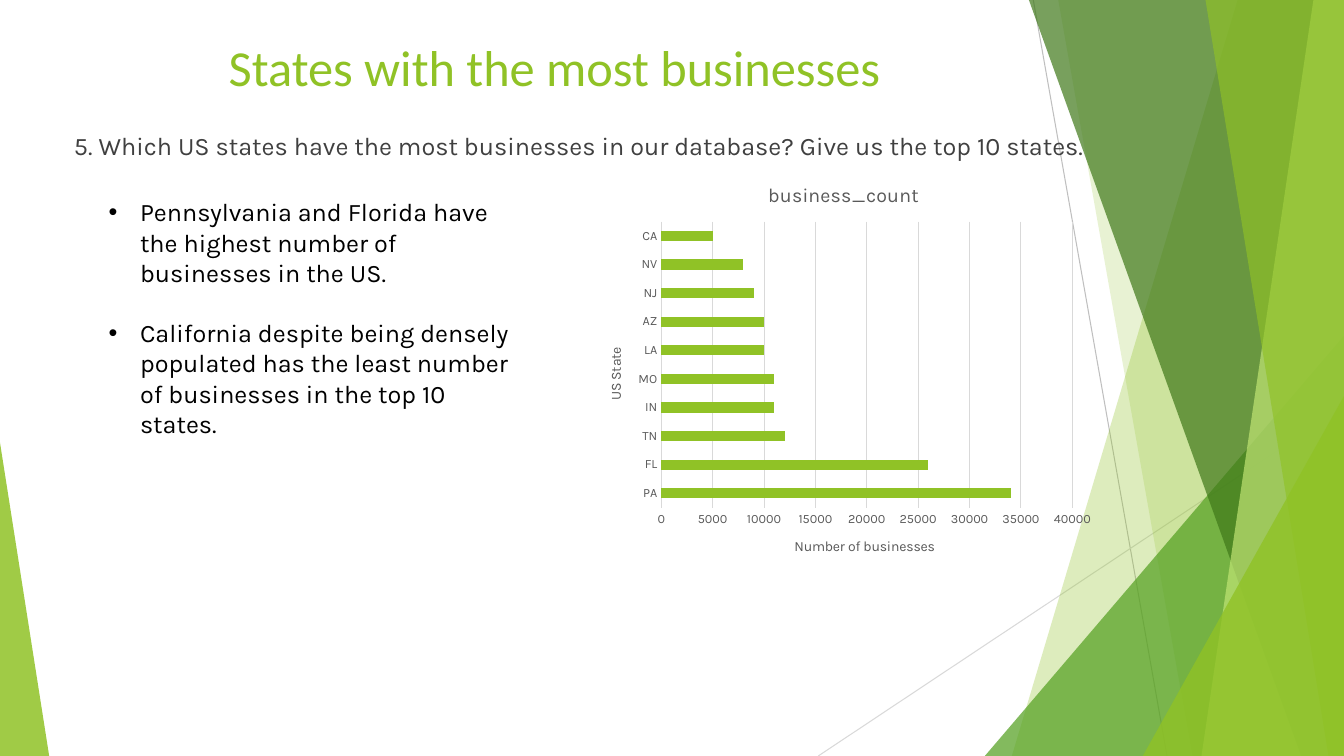
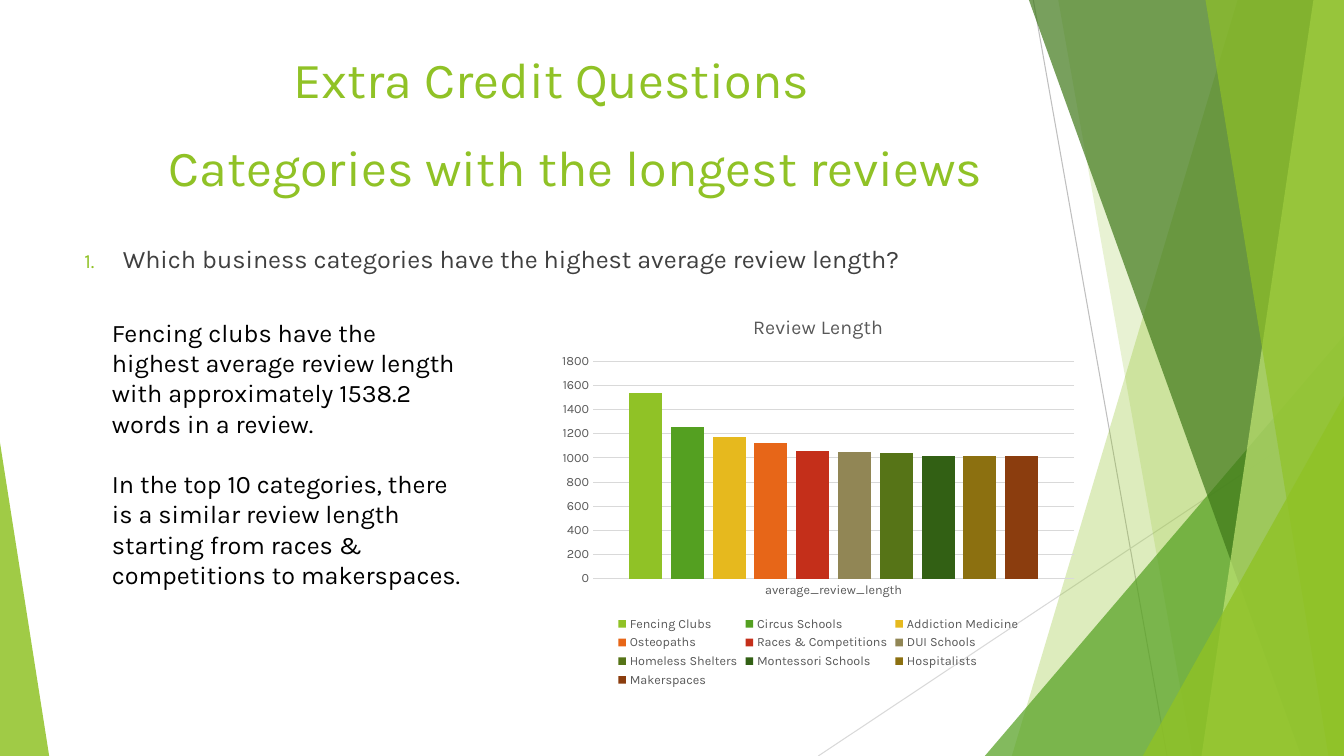
from lxml.etree import SubElement
from pptx import Presentation
from pptx.chart.data import CategoryChartData
from pptx.dml.color import RGBColor
from pptx.enum.chart import XL_CHART_TYPE as ChartType, XL_LEGEND_POSITION as LegendPosition, XL_TICK_MARK as TickMark
from pptx.enum.shapes import MSO_CONNECTOR as Connector, MSO_SHAPE as Preset
from pptx.enum.text import MSO_ANCHOR as Anchor, MSO_AUTO_SIZE as AutoSize, PP_ALIGN as Align
from pptx.oxml.ns import qn
from pptx.util import Cm, Pt

LIME = RGBColor(0x90, 0xC2, 0x26)
GREEN = RGBColor(0x54, 0xA0, 0x21)
FOREST = RGBColor(0x3F, 0x78, 0x19)
PALE_LIME = RGBColor(0xC0, 0xE4, 0x74)
BLACK = RGBColor(0, 0, 0)
BODY_GRAY = RGBColor(0x40, 0x40, 0x40)
CHART_GRAY = RGBColor(0x59, 0x59, 0x59)
LINE_GRAY = RGBColor(0xBF, 0xBF, 0xBF)
GRID_GRAY = RGBColor(0xD9, 0xD9, 0xD9)
FONT = "Karla"
WIDTH, HEIGHT = 33.87, 19.05

RAYS = [((26.04, 0), (29.41, HEIGHT), LINE_GRAY), ((WIDTH, 10.24), (20.62, HEIGHT), GRID_GRAY)]
FACETS = [
    ("band", 31.19, 25.5, LIME, 30),
    ("band", 26.67, 30.05, LIME, 20),
    ("triangle", (24.82, 8.46, 9.05), 1, GREEN, 72),
    ("band", 25.93, 32.79, FOREST, 70),
    ("band", 33.1, 30.28, PALE_LIME, 70),
    ("band", 30.38, 33.48, LIME, 65),
    ("triangle", (28.8, 9.98, 5.07), 1, LIME, 80),
    ("triangle", (0, 11.15, 1.24), 0, LIME, 85),
]

SLIDES = [
    {
        "title": ("States with the most businesses", (2.04, 0.74, 23.88, 1.88), "Calibri"),
        "question": (
            "5. Which US states have the most businesses in our database? Give us the top 10 states.",
            (1.61, 3.16, 26.14, 14.86), False),
        "findings": ([
            "Pennsylvania and Florida have the highest number of businesses in the US.",
            "California despite being densely populated has the least number of businesses in the top 10 states.",
        ], (2.49, 4.83, 10.9, 6.4), True),
        "chart": {
            "type": ChartType.BAR_CLUSTERED,
            "box": (14.77, 4.16, 12.98, 10.34),
            "title": "business_count",
            "categories": ["PA", "FL", "TN", "IN", "MO", "LA", "AZ", "NJ", "NV", "CA"],
            "series": [("business_count",
                        [34000, 26000, 12000, 11000, 11000, 10000, 10000, 9000, 8000, 5000], LIME)],
            "axis_titles": ("US State", "Number of businesses"),
            "scale": (40000, 5000), "gap": 182, "overlap": 0,
        },
    },
    {
        "title": ("Extra Credit Questions", (1.96, 1.02, 23.88, 1.9), FONT),
        "subtitle": ("Categories with the longest reviews", (2.57, 3.25, 23.88, 1.9), FONT),
        "question": ("Which business categories have the highest average review length?",
                     (1.87, 6.01, 23.88, 10.77), True),
        "findings": ([
            "Fencing clubs have the highest average review length with approximately 1538.2 words in a review.",
            "In the top 10 categories, there is a similar review length starting from races & competitions "
            "to makerspaces.",
        ], (2.57, 7.87, 9.45, 7.19), False),
        "chart": {
            "type": ChartType.COLUMN_CLUSTERED,
            "box": (13.9, 7.51, 13.44, 9.91),
            "title": "Review Length",
            "categories": ["average_review_length"],
            "series": [
                ("Fencing Clubs", [1540], LIME),
                ("Circus Schools", [1260], GREEN),
                ("Addiction Medicine", [1170], RGBColor(0xE6, 0xB9, 0x1E)),
                ("Osteopaths", [1120], RGBColor(0xE7, 0x66, 0x18)),
                ("Races & Competitions", [1060], RGBColor(0xC4, 0x2F, 0x1A)),
                ("DUI Schools", [1050], RGBColor(0x91, 0x86, 0x55)),
                ("Homeless Shelters", [1040], RGBColor(0x56, 0x74, 0x17)),
                ("Montessori Schools", [1020], RGBColor(0x32, 0x60, 0x14)),
                ("Hospitalists", [1020], RGBColor(0x8C, 0x70, 0x10)),
                ("Makerspaces", [1020], RGBColor(0x8B, 0x3D, 0x0E)),
            ],
            "axis_titles": None,
            "scale": (1800, 200), "gap": 219, "overlap": -27,
        },
    },
]


def lengths(values):
    return [Cm(value) for value in values]


def style_font(font, size, color, name=FONT):
    font.name, font.size, font.bold = name, Pt(size), False
    font.color.rgb = color


def style_line(line, color):
    line.color.rgb = color
    line.width = Pt(0.75)


def place(shape, box):
    shape.left, shape.top, shape.width, shape.height = lengths(box)
    shape.text_frame.word_wrap = True
    shape.text_frame.auto_size = AutoSize.NONE


def set_bullet(paragraph, kind, indent=0, **attributes):
    properties = paragraph._p.get_or_add_pPr()
    properties.set("marL", str(Cm(indent)))
    properties.set("indent", str(-Cm(indent)))
    if kind == "buAutoNum":
        SubElement(SubElement(properties, qn("a:buClr")), qn("a:srgbClr"), val=str(LIME))
        SubElement(properties, qn("a:buSzPct"), val="80000")
    if kind != "buNone":
        SubElement(properties, qn("a:buFont"), typeface="Arial" if kind == "buChar" else "+mj-lt")
    SubElement(properties, qn("a:" + kind), **attributes)


def add_ray(slide, start, end, color):
    ray = slide.shapes.add_connector(Connector.STRAIGHT, *lengths(start + end))
    style_line(ray.line, color)
    SubElement(ray.element.spPr, qn("a:effectLst"))
    return ray


def add_facet(slide, kind, position, corner, color, opacity):
    if kind == "band":
        builder = slide.shapes.build_freeform(Cm(position), 0)
        outline = [(WIDTH, 0), (WIDTH, HEIGHT), (corner, HEIGHT)]
        builder.add_line_segments([lengths(point) for point in outline], close=True)
        facet = builder.convert_to_shape()
    else:
        left, top, width = position
        facet = slide.shapes.add_shape(
            Preset.ISOSCELES_TRIANGLE, *lengths((left, top, width, HEIGHT - top)))
        facet.adjustments[0] = corner
    facet.shadow.inherit = False
    facet.line.fill.background()
    facet.fill.solid()
    facet.fill.fore_color.rgb = color
    SubElement(next(facet.element.iter(qn("a:srgbClr"))), qn("a:alpha"), val=str(opacity * 1000))
    return facet


def decorate_master(presentation, slide):
    shapes = [add_ray(slide, *ray) for ray in RAYS] + [add_facet(slide, *facet) for facet in FACETS]
    tree = presentation.slide_master.shapes.element
    for index, shape in enumerate(shapes):
        next(shape.element.iter(qn("p:cNvPr"))).set("id", str(20 + index))
        tree.insert(2 + index, shape.element)


def fill_heading(shape, text, box, font_name):
    place(shape, box)
    shape.text_frame.vertical_anchor = Anchor.MIDDLE
    paragraph = shape.text_frame.paragraphs[0]
    paragraph.text = text
    paragraph.alignment = Align.CENTER
    style_font(paragraph.font, 36, LIME, font_name)


def fill_question(shape, text, box, numbered):
    place(shape, box)
    paragraph = shape.text_frame.paragraphs[0]
    paragraph.text = text
    if numbered:
        set_bullet(paragraph, "buAutoNum", 0.97, type="arabicPeriod")
    else:
        set_bullet(paragraph, "buNone")
    paragraph.space_before = Pt(10)
    style_font(paragraph.font, 18, BODY_GRAY)


def add_findings(slide, findings, box, bulleted):
    shape = slide.shapes.add_textbox(*lengths(box))
    place(shape, box)
    frame = shape.text_frame
    for index, text in enumerate(findings):
        paragraph = frame.add_paragraph() if index else frame.paragraphs[0]
        paragraph.text = text
        if bulleted:
            set_bullet(paragraph, "buChar", 0.79, char="•")
        if index:
            paragraph.space_before = Pt(21.6)
        style_font(paragraph.font, 18, BLACK)


def set_title(title, text, size):
    title.text_frame.text = text
    style_font(title.text_frame.paragraphs[0].font, size, CHART_GRAY)


def add_chart(slide, content):
    data = CategoryChartData()
    data.categories = content["categories"]
    for name, values, _ in content["series"]:
        data.add_series(name, values)
    chart = slide.shapes.add_chart(content["type"], *lengths(content["box"]), data).chart
    style_font(chart.font, 10, BLACK)
    chart.has_title = True
    set_title(chart.chart_title, content["title"], 14)
    chart.chart_title.include_in_layout = False

    category_axis, value_axis = chart.category_axis, chart.value_axis
    for axis in (category_axis, value_axis):
        axis.major_tick_mark = axis.minor_tick_mark = TickMark.NONE
        style_font(axis.tick_labels.font, 9, CHART_GRAY)
    style_line(category_axis.format.line, GRID_GRAY)
    value_axis.format.line.fill.background()
    style_line(value_axis.major_gridlines.format.line, GRID_GRAY)
    value_axis.minimum_scale = 0
    value_axis.maximum_scale, value_axis.major_unit = content["scale"]
    if content["axis_titles"]:
        for axis, text in zip((category_axis, value_axis), content["axis_titles"]):
            set_title(axis.axis_title, text, 10)
        next(category_axis.axis_title.element.iter(qn("a:bodyPr"))).set("rot", "-5400000")

    plot = chart.plots[0]
    plot.vary_by_categories = False
    plot.gap_width, plot.overlap = content["gap"], content["overlap"]
    for series, (_, _, color) in zip(plot.series, content["series"]):
        series.invert_if_negative = False
        series.format.fill.solid()
        series.format.fill.fore_color.rgb = color
    chart.has_legend = len(content["series"]) > 1
    if chart.has_legend:
        chart.legend.position = LegendPosition.BOTTOM
        chart.legend.include_in_layout = False
        style_font(chart.legend.font, 9, CHART_GRAY)


def main():
    presentation = Presentation()
    presentation.slide_width, presentation.slide_height = lengths((WIDTH, HEIGHT))
    for index, content in enumerate(SLIDES):
        slide = presentation.slides.add_slide(presentation.slide_layouts[1])
        if index == 0:
            decorate_master(presentation, slide)
        fill_heading(slide.shapes.title, *content["title"])
        fill_question(slide.placeholders[1], *content["question"])
        add_chart(slide, content["chart"])
        add_findings(slide, *content["findings"])
        if "subtitle" in content:
            box = lengths(content["subtitle"][1])
            fill_heading(slide.shapes.add_textbox(*box), *content["subtitle"])
    presentation.save("out.pptx")


if __name__ == "__main__":
    main()
